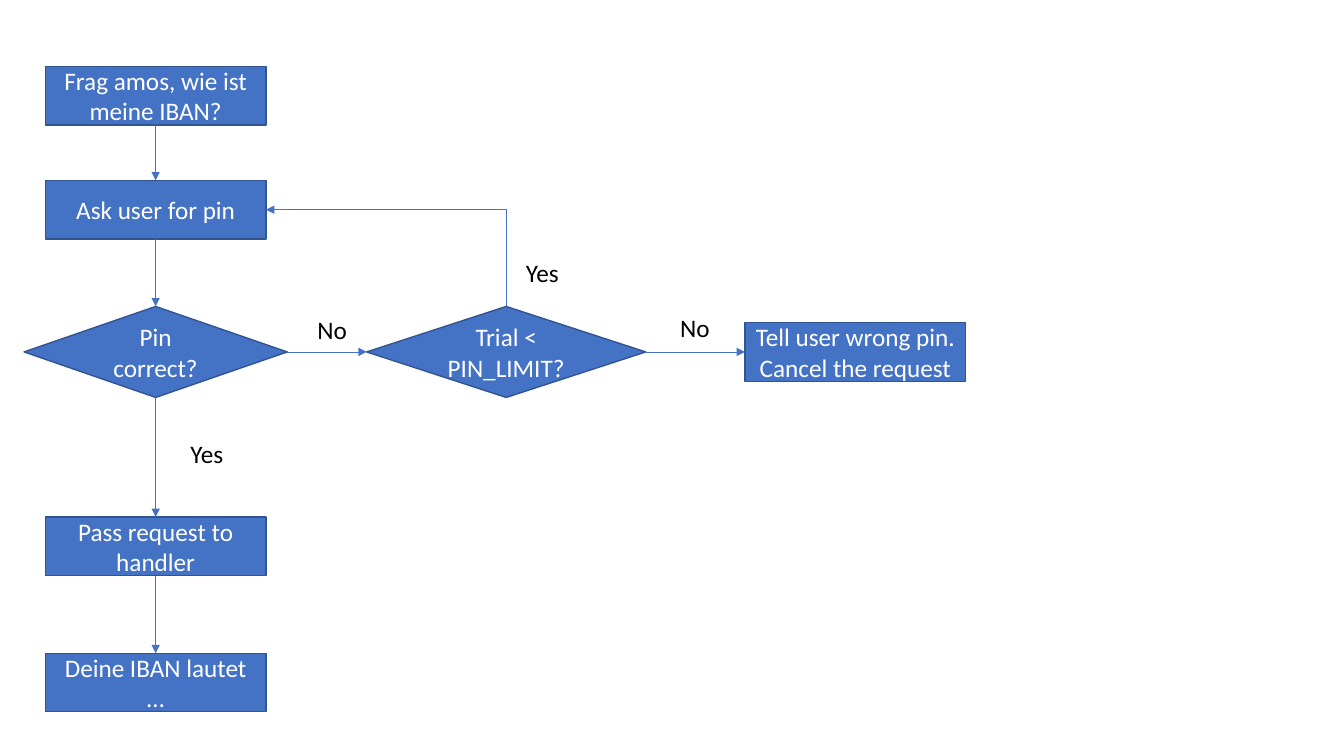
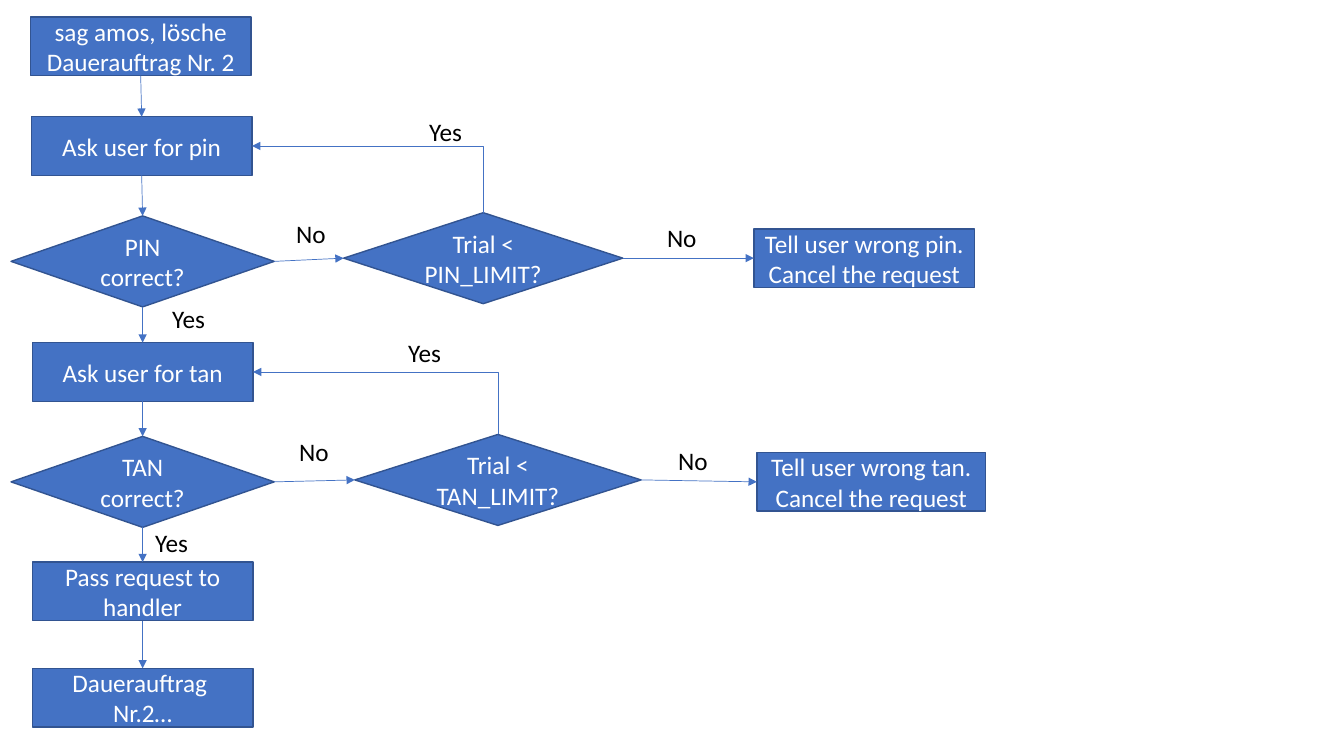
from lxml import etree
from pptx import Presentation
from pptx.dml.color import RGBColor
from pptx.enum.shapes import MSO_CONNECTOR, MSO_SHAPE
from pptx.enum.text import MSO_ANCHOR, MSO_AUTO_SIZE, PP_ALIGN
from pptx.oxml.ns import qn
from pptx.util import Pt

# Shared style
BLUE = RGBColor(0x44, 0x72, 0xC4)
DARK_BLUE = RGBColor(0x32, 0x54, 0x91)
WHITE = RGBColor(0xFF, 0xFF, 0xFF)
BLACK = RGBColor(0x00, 0x00, 0x00)
FONT = "Calibri"
TEXT_SIZE = Pt(18)
STEP_WIDTH, STEP_HEIGHT = 157.7, 41.8
CHECK_WIDTH, TRIAL_WIDTH, DECISION_HEIGHT = 188, 199.4, 65

RECTANGLE = MSO_SHAPE.RECTANGLE
DECISION = MSO_SHAPE.FLOWCHART_DECISION
STRAIGHT = MSO_CONNECTOR.STRAIGHT
ELBOW = MSO_CONNECTOR.ELBOW
CENTER = PP_ALIGN.CENTER
MIDDLE = MSO_ANCHOR.MIDDLE
FIT_SHAPE = MSO_AUTO_SIZE.SHAPE_TO_FIT_TEXT

# Connection sites of rectangles and decisions
TOP, LEFT, BOTTOM, RIGHT = range(4)


def add_span(para, text, color):
    span = para.add_run()
    span.text = text
    span.font.name = FONT
    span.font.size = TEXT_SIZE
    span.font.color.rgb = color


def add_node(page, kind, center_x, center_y, width, height, lines):
    """Add a filled flowchart shape around its centre, one paragraph a line."""
    node = page.shapes.add_shape(
        kind, Pt(center_x - width / 2), Pt(center_y - height / 2), Pt(width), Pt(height))
    node.shadow.inherit = False
    node.fill.solid()
    node.fill.fore_color.rgb = BLUE
    node.line.color.rgb = DARK_BLUE
    node.line.width = Pt(1)
    frame = node.text_frame
    frame.word_wrap = True
    frame.vertical_anchor = MIDDLE
    for index, line in enumerate(lines):
        para = frame.add_paragraph() if index else frame.paragraphs[0]
        para.alignment = CENTER
        add_span(para, line, WHITE)
    return node


def add_step(page, center_x, center_y, *lines, width=STEP_WIDTH):
    return add_node(page, RECTANGLE, center_x, center_y, width, STEP_HEIGHT, lines)


def add_decision(page, center_x, center_y, text, width):
    return add_node(page, DECISION, center_x, center_y, width, DECISION_HEIGHT, [text])


def add_label(page, text, left, top):
    box = page.shapes.add_textbox(Pt(left), Pt(top), Pt(38 if text == "Yes" else 36), Pt(29))
    frame = box.text_frame
    frame.word_wrap = False
    frame.auto_size = FIT_SHAPE
    add_span(frame.paragraphs[0], text, BLACK)


def connect(page, kind, source, source_site, target, target_site):
    """Join two nodes with a thin arrow."""
    arrow = page.shapes.add_connector(kind, 0, 0, 0, 0)
    arrow.begin_connect(source, source_site)
    arrow.end_connect(target, target_site)
    arrow.line.color.rgb = BLUE
    arrow.line.width = Pt(0.5)
    properties = arrow.element.spPr
    head = etree.SubElement(properties.find(qn("a:ln")), qn("a:tailEnd"))
    head.set("type", "triangle")
    etree.SubElement(properties, qn("a:effectLst"))
    return arrow


def arrow_down(page, *nodes):
    for source, target in zip(nodes, nodes[1:]):
        connect(page, STRAIGHT, source, BOTTOM, target, TOP)


def arrow_right(page, *nodes):
    for source, target in zip(nodes, nodes[1:]):
        connect(page, STRAIGHT, source, RIGHT, target, LEFT)


def arrow_back(page, source, target):
    """Lead from the top of source, round one corner, to the right of target."""
    arrow = connect(page, ELBOW, source, TOP, target, RIGHT)
    start_x, start_y = source.left + source.width // 2, source.top
    end_x, end_y = target.left + target.width, target.top + target.height // 2
    run, rise = start_x - end_x, start_y - end_y
    # The one-corner connector is turned by 270 degrees about its centre
    arrow.left = (start_x + end_x - rise) // 2
    arrow.top = (start_y + end_y - run) // 2
    arrow.width, arrow.height = rise, run
    properties = arrow.element.spPr
    frame = properties.find(qn("a:xfrm"))
    for name, value in (("rot", "16200000"), ("flipH", "0"), ("flipV", "1")):
        frame.set(name, value)
    properties.find(qn("a:prstGeom")).set("prst", "bentConnector2")


def link_retry_loop(page, ask, check, trial, cancel):
    arrow_down(page, ask, check)
    arrow_right(page, check, trial, cancel)
    arrow_back(page, trial, ask)


def build_iban_page(page):
    column = 111.2
    check_y = 251.4

    # Steps and decisions
    request = add_step(page, column, 68.4, "Frag amos, wie ist meine IBAN?")
    ask = add_step(page, column, 149.8, "Ask user for pin")
    check = add_decision(page, column, check_y, "Pin correct?", CHECK_WIDTH)
    trial = add_decision(page, 361.6, check_y, "Trial < PIN_LIMIT?", TRIAL_WIDTH)
    cancel = add_step(page, 611, check_y, "Tell user wrong pin. Cancel the request")
    handler = add_step(page, column, 390.2, "Pass request to handler")
    answer = add_step(page, column, 487.5, "Deine IBAN lautet …")

    # Arrows
    arrow_down(page, request, ask)
    link_retry_loop(page, ask, check, trial, cancel)
    arrow_down(page, check, handler, answer)

    # Labels
    for text, left, top in (("Yes", 128.9, 309.6), ("No", 219.6, 221),
                            ("No", 478.8, 219.6), ("Yes", 368.6, 180)):
        add_label(page, text, left, top)


def build_order_page(page):
    column = 101.9

    # PIN check
    request = add_step(page, 100.5, 33.1, "sag amos, lösche Dauerauftrag Nr. 2")
    ask_pin = add_step(page, 101.2, 104.3, "Ask user for pin")
    check_pin = add_decision(page, column, 186.7, "PIN correct?", CHECK_WIDTH)
    trial_pin = add_decision(page, 345.2, 184.4, "Trial < PIN_LIMIT?", TRIAL_WIDTH)
    cancel_pin = add_step(page, 617.4, 184.4, "Tell user wrong pin. Cancel the request")

    # TAN check
    ask_tan = add_step(page, column, 265.7, "Ask user for tan")
    check_tan = add_decision(page, column, 344.2, "TAN correct?", CHECK_WIDTH)
    trial_tan = add_decision(page, 355.7, 342.8, "Trial < TAN_LIMIT?", 204.5)
    cancel_tan = add_step(page, 622.4, 344.2, "Tell user wrong tan. Cancel the request",
                          width=163.5)

    # Result
    handler = add_step(page, column, 422.4, "Pass request to handler")
    answer = add_step(page, column, 498.4, "Dauerauftrag ", "Nr.2…")

    # Arrows
    arrow_down(page, request, ask_pin)
    link_retry_loop(page, ask_pin, check_pin, trial_pin, cancel_pin)
    arrow_down(page, check_pin, ask_tan)
    link_retry_loop(page, ask_tan, check_tan, trial_tan, cancel_tan)
    arrow_down(page, check_tan, handler, answer)

    # Labels
    for text, left, top in (("No", 204.5, 152.6), ("No", 469.4, 155.5),
                            ("Yes", 299.5, 79.2), ("Yes", 115.9, 213.1),
                            ("No", 206.6, 308.2), ("No", 477.4, 314.6),
                            ("Yes", 284.4, 237.6), ("Yes", 103.7, 373)):
        add_label(page, text, left, top)


def main():
    deck = Presentation()
    deck.slide_width, deck.slide_height = Pt(960), Pt(540)
    blank = deck.slide_layouts[6]
    for build in (build_iban_page, build_order_page):
        build(deck.slides.add_slide(blank))
    deck.save("out.pptx")


main()
